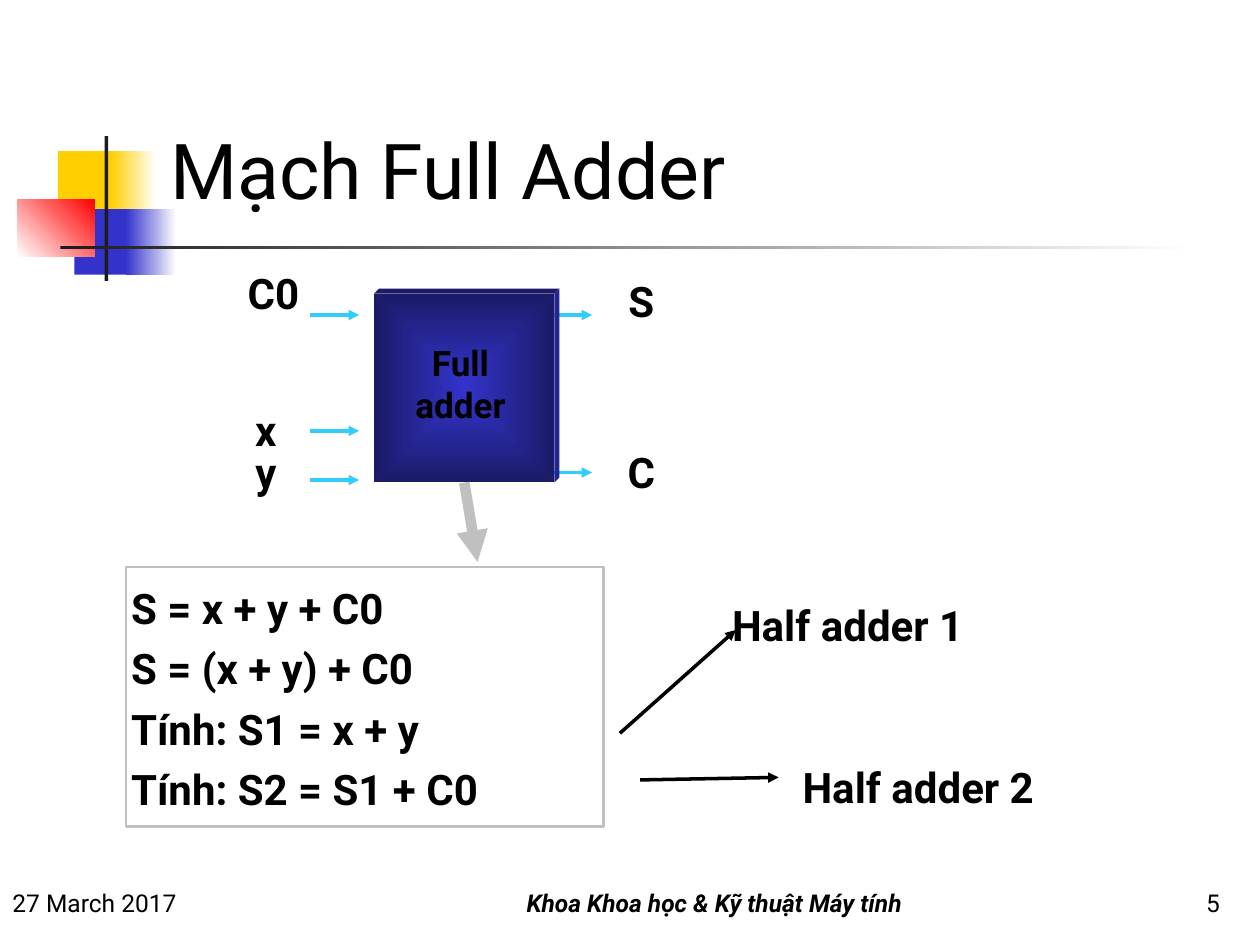
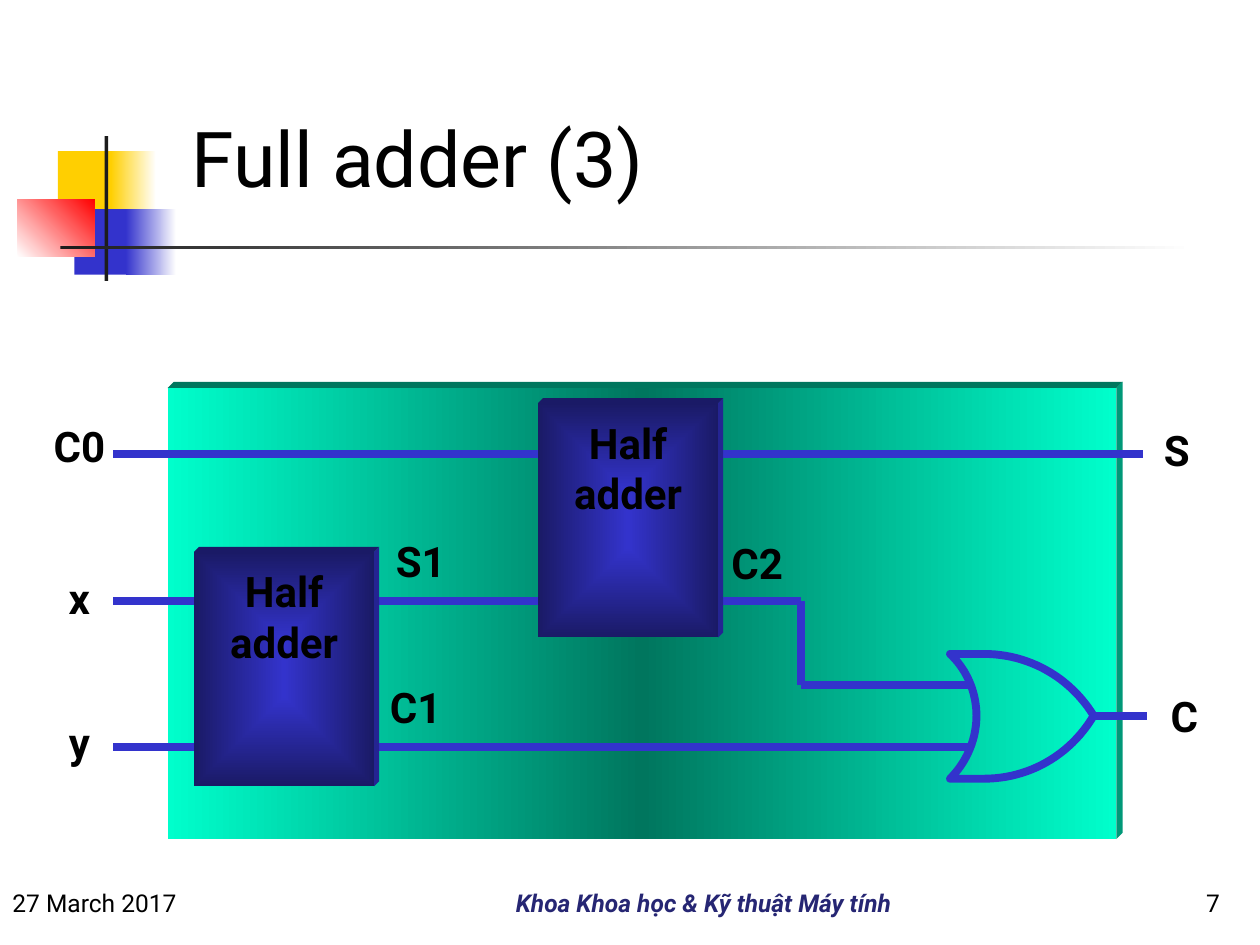
from lxml.etree import SubElement
from pptx import Presentation
from pptx.dml.color import RGBColor
from pptx.enum.shapes import MSO_CONNECTOR, MSO_SHAPE
from pptx.enum.text import MSO_ANCHOR, MSO_AUTO_SIZE, PP_ALIGN
from pptx.oxml.ns import qn
from pptx.util import Inches, Pt

FONT = "Roboto"
BLACK = "000000"
WHITE = "FFFFFF"
CHARCOAL = "1C1C1C"
YELLOW = "FFCF01"
RED = "FF0000"
BLUE = "3333CC"
NAVY = "262673"
SHADED_BLUE = "1A1A66"
SIDE_BLUE = "242492"
MINT = "00FFCC"
DARK_MINT = "00765E"
SIDE_MINT = "009878"
SKY = "33CCFF"
SILVER = "C0C0C0"

DATE = "27 March 2017"
FACULTY = "Khoa Khoa học & Kỹ thuật Máy tính"
LABEL_SIZE = (0.56, 0.57)
ADDER_WIDTH = 1.43
WIRE_WIDTH = 4.5


def colour(value):
    return RGBColor.from_string(value)


def format_text(frame, size, bold=False, italic=False, ink=BLACK,
                align=PP_ALIGN.LEFT, line_spacing=None):
    for paragraph in frame.paragraphs:
        paragraph.alignment = align
        if line_spacing:
            paragraph.line_spacing = line_spacing
        for run in paragraph.runs:
            font = run.font
            font.name = FONT
            font.size = Pt(size)
            font.bold = bold
            font.italic = italic
            font.color.rgb = colour(ink)


def add_text(slide, text, box, size=24, bold=True, align=PP_ALIGN.CENTER,
             anchor=MSO_ANCHOR.TOP, margin=0.04, **style):
    textbox = slide.shapes.add_textbox(*map(Inches, box))
    frame = textbox.text_frame
    frame.word_wrap = True
    frame.vertical_anchor = anchor
    frame.margin_left = frame.margin_right = Inches(margin)
    frame.margin_top = frame.margin_bottom = Inches(min(margin, 0.05))
    frame.text = text
    format_text(frame, size, bold, align=align, **style)
    return textbox


def add_label(slide, text, left, top):
    add_text(slide, text, (left, top, *LABEL_SIZE))


def set_gradient(shape, stops, angle=None):
    shape.fill.gradient()
    gradient = shape.element.spPr.find(qn("a:gradFill"))
    for child in list(gradient):
        gradient.remove(child)
    stop_list = SubElement(gradient, qn("a:gsLst"))
    for index, value in enumerate(stops):
        position = 100000 * index // (len(stops) - 1)
        stop = SubElement(stop_list, qn("a:gs"), pos=str(position))
        SubElement(stop, qn("a:srgbClr"), val=value)
    if angle is None:
        centre = SubElement(gradient, qn("a:path"), path="rect")
        SubElement(centre, qn("a:fillToRect"),
                   {side: "50000" for side in "ltrb"})
    else:
        SubElement(gradient, qn("a:lin"), ang=str(angle * 60000), scaled="0")


def add_block(slide, box, *fills, angle=0):
    block = slide.shapes.add_shape(MSO_SHAPE.RECTANGLE, *map(Inches, box))
    block.shadow.inherit = False
    block.line.fill.background()
    if len(fills) == 1:
        block.fill.solid()
        block.fill.fore_color.rgb = colour(fills[0])
    else:
        set_gradient(block, fills, angle)
    return block


def add_outline(slide, points, fill=None, line=None):
    start, *rest = [tuple(map(Inches, point)) for point in points]
    builder = slide.shapes.build_freeform(*start, scale=1.0)
    builder.add_line_segments(rest, close=True)
    outline = builder.convert_to_shape()
    outline.shadow.inherit = False
    if fill:
        outline.fill.solid()
        outline.fill.fore_color.rgb = colour(fill)
    else:
        outline.fill.background()
    if line:
        outline.line.color.rgb = colour(line)
        outline.line.width = Pt(WIRE_WIDTH)
    else:
        outline.line.fill.background()


def add_raised_block(slide, box, fills, top_fill, side_fill, depth, angle=None):
    left, top, width, height = box
    right, bottom = left + width, top + height
    raised, shifted = top - depth, right + depth
    add_outline(slide, [(left, top), (left + depth, raised),
                        (shifted, raised), (right, top)], top_fill)
    add_outline(slide, [(right, top), (shifted, raised),
                        (shifted, bottom - depth), (right, bottom)], side_fill)
    return add_block(slide, box, *fills, angle=angle)


def add_adder(slide, left, top, height):
    return add_raised_block(slide, (left, top, ADDER_WIDTH, height),
                            (BLUE, SHADED_BLUE), SHADED_BLUE, SIDE_BLUE, 0.04)


def add_half_adder(slide, left, top):
    add_adder(slide, left, top, 1.86)
    add_text(slide, "Half adder", (left + 0.2, top + 0.07, 1.03, 0.88))


def add_line(slide, start, end, ink=BLUE, width=WIRE_WIDTH, arrow=False):
    line = slide.shapes.add_connector(MSO_CONNECTOR.STRAIGHT,
                                      *map(Inches, (*start, *end)))
    line.line.color.rgb = colour(ink)
    line.line.width = Pt(width)
    if arrow:
        SubElement(line.line._get_or_add_ln(), qn("a:tailEnd"), type="triangle")
    SubElement(line.element.spPr, qn("a:effectLst"))
    return line


def bezier(start, pull_start, pull_end, end, steps=24):
    points = []
    for step in range(steps + 1):
        t = step / steps
        weights = ((1 - t) ** 3, 3 * t * (1 - t) ** 2, 3 * t * t * (1 - t), t ** 3)
        corners = (start, pull_start, pull_end, end)
        points.append(tuple(sum(w * corner[axis] for w, corner in zip(weights, corners))
                            for axis in (0, 1)))
    return points


def add_or_gate(slide):
    back, shoulder, tip = 7.54, 7.81, 8.68
    top, middle, bottom = 5.19, 5.68, 6.18
    upper = bezier((shoulder, top), (8.16, top), (8.49, 5.37), (tip, middle))
    lower = bezier((tip, middle), (8.49, 6), (8.16, bottom), (shoulder, bottom))
    hollow = (bezier((back, bottom), (7.67, 6.05), (7.75, 5.87), (7.75, middle))
              + bezier((7.75, middle), (7.75, 5.49), (7.67, 5.31), (back, top))[1:])
    add_outline(slide, upper + lower[1:] + hollow, line=BLUE)


def add_decoration(slide):
    add_block(slide, (0.46, 1.2, 0.48, 0.52), YELLOW)
    add_block(slide, (0.88, 1.2, 0.36, 0.52), YELLOW, WHITE)
    add_block(slide, (0.59, 1.66, 0.46, 0.52), BLUE)
    add_block(slide, (1, 1.66, 0.4, 0.52), BLUE, WHITE)
    add_block(slide, (0.14, 1.58, 0.61, 0.46), WHITE, RED, angle=315)
    add_block(slide, (0.83, 1.08, 0.03, 1.15), CHARCOAL)
    add_block(slide, (0.48, 1.95, 9, 0.03), CHARCOAL, WHITE)


def add_footer(slide, text, box, **style):
    add_text(slide, text, box, size=14, anchor=MSO_ANCHOR.BOTTOM,
             margin=0.1, **style)


def start_slide(deck, title, title_box, number, faculty_box, faculty_ink):
    slide = deck.slides.add_slide(deck.slide_layouts[5])
    add_decoration(slide)
    heading = slide.shapes.title
    heading.left, heading.top, heading.width, heading.height = map(Inches, title_box)
    frame = heading.text_frame
    frame.text = title
    frame.auto_size = MSO_AUTO_SIZE.NONE
    frame.vertical_anchor = MSO_ANCHOR.TOP
    format_text(frame, 44)
    add_footer(slide, DATE, (0, 7, 2.42, 0.33), bold=False, align=PP_ALIGN.LEFT)
    add_footer(slide, FACULTY, faculty_box, italic=True, ink=faculty_ink)
    add_footer(slide, number, (8.58, 6.83, 1.2, 0.5), bold=False,
               align=PP_ALIGN.RIGHT)
    return slide


def add_formulas(slide):
    formulas = add_block(slide, (1, 4.5, 3.79, 2.06), WHITE)
    formulas.fill.background()
    formulas.line.color.rgb = colour(SILVER)
    formulas.line.width = Pt(1.5)
    frame = formulas.text_frame
    frame.word_wrap = True
    frame.vertical_anchor = MSO_ANCHOR.TOP
    frame.margin_left = frame.margin_right = frame.margin_top = Inches(0.04)
    frame.margin_bottom = Inches(0.08)
    frame.text = "\n".join(["S = x + y + C0", "S = (x + y) + C0",
                            "Tính: S1 = x + y", "Tính: S2 = S1 + C0"])
    format_text(frame, 24, bold=True, line_spacing=1.2)


def build_overview(deck):
    slide = start_slide(deck, "Mạch Full Adder", (1.25, 0.92, 7.85, 0.93), "5",
                        (3.17, 7, 5, 0.33), BLACK)
    for left, top in ((2.46, 2.5), (2.46, 3.42), (2.46, 3.81), (4.31, 2.5), (4.31, 3.75)):
        add_line(slide, (left, top), (left + 0.39, top), SKY, 2, arrow=True)
    adder = add_adder(slide, 2.97, 2.33, 1.5)
    explanation = add_line(slide, (3.69, 3.83), (3.79, 4.46), SILVER, 6, arrow=True)
    explanation.begin_connect(adder, 2)
    add_text(slide, "Full adder", (3.14, 2.67, 1.03, 0.95), size=20)
    for name, left, top in (("C0", 1.89, 2.08), ("x", 1.83, 3.17), ("y", 1.83, 3.5),
                            ("S", 4.81, 2.15), ("C", 4.81, 3.5)):
        add_label(slide, name, left, top)
    add_formulas(slide)
    for name, left, top in (("Half adder 1", 5.77, 4.72), ("Half adder 2", 6.33, 6)):
        add_text(slide, name, (left, top, 2.76, 0.48), align=PP_ALIGN.LEFT,
                 anchor=MSO_ANCHOR.MIDDLE)
    for start, end in (((4.92, 5.82), (5.84, 5)), ((5.08, 6.19), (6.18, 6.17))):
        add_line(slide, start, end, BLACK, 2, arrow=True)


def build_circuit(deck):
    slide = start_slide(deck, "Full adder (3)", (1.42, 0.83, 4.08, 0.92), "7",
                        (2.5, 7, 6.17, 0.33), NAVY)
    add_raised_block(slide, (1.33, 3.08, 7.53, 3.58), (MINT, DARK_MINT, MINT),
                     DARK_MINT, SIDE_MINT, 0.05, angle=0)
    carry_row, x_row, y_row, gate_row = 3.6, 4.77, 5.93, 5.44
    for row, left, right in ((carry_row, 0.9, 4.28), (carry_row, 5.71, 9.07),
                             (x_row, 0.9, 1.55), (x_row, 2.98, 4.28),
                             (x_row, 5.71, 6.36), (y_row, 0.9, 1.55),
                             (y_row, 2.98, 7.68), (gate_row, 6.36, 7.68),
                             (5.68, 8.69, 9.1)):
        add_line(slide, (left, row), (right, row))
    add_line(slide, (6.36, x_row), (6.36, gate_row))
    add_or_gate(slide)
    for name, left, top in (("C0", 0.35, 3.3), ("x", 0.35, 4.5), ("y", 0.35, 5.65),
                            ("S1", 3.06, 4.21), ("C1", 3.02, 5.37),
                            ("C2", 5.73, 4.23), ("S", 9.06, 3.33), ("C", 9.12, 5.44)):
        add_label(slide, name, left, top)
    add_half_adder(slide, 4.27, 3.2)
    add_half_adder(slide, 1.54, 4.38)


def main():
    deck = Presentation()
    deck.slide_width, deck.slide_height = Inches(10), Inches(7.5)
    build_overview(deck)
    build_circuit(deck)
    deck.save("out.pptx")


if __name__ == "__main__":
    main()
